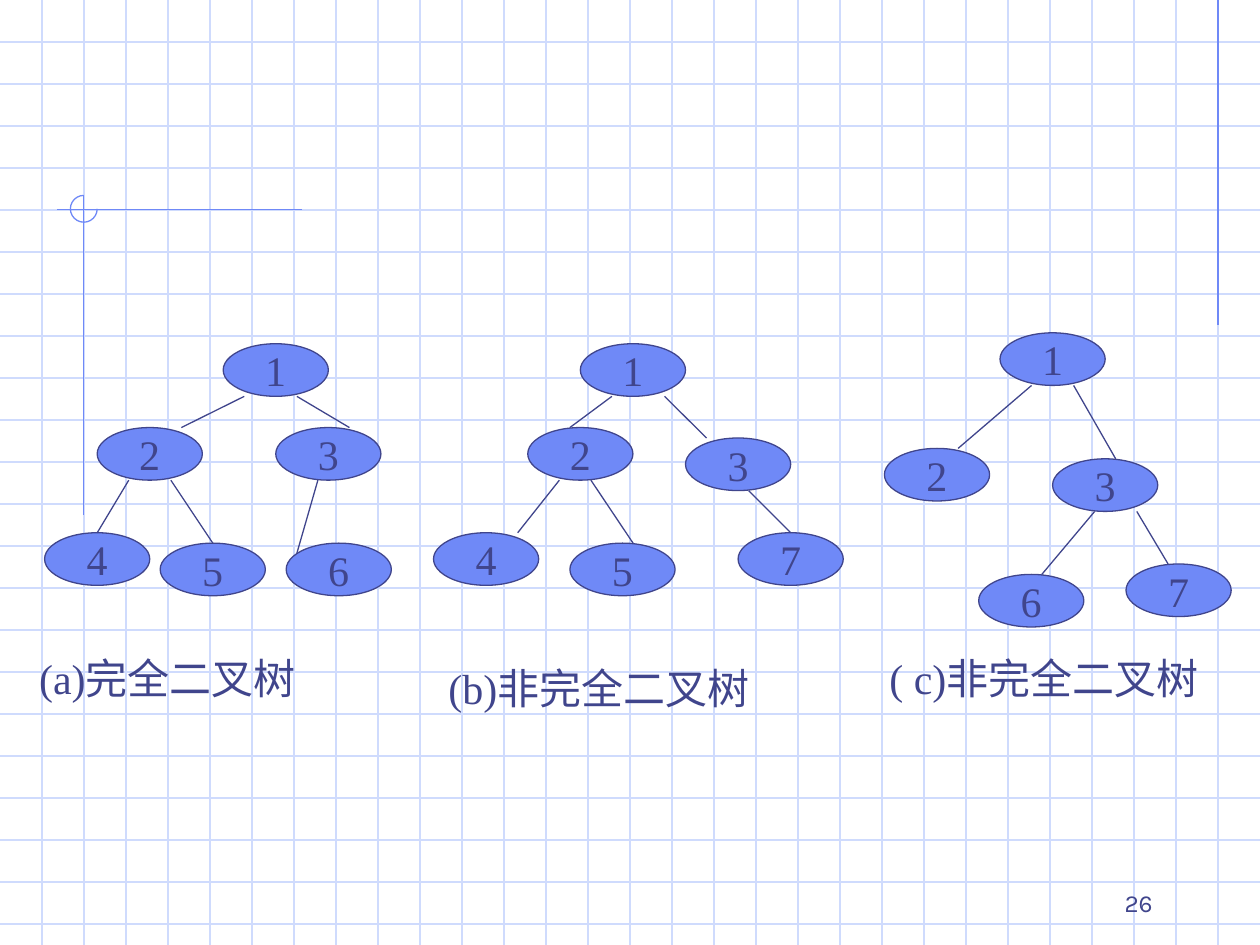
from lxml.etree import SubElement
from pptx import Presentation
from pptx.dml.color import RGBColor
from pptx.enum.shapes import MSO_CONNECTOR, MSO_SHAPE
from pptx.enum.text import MSO_ANCHOR, MSO_AUTO_SIZE, PP_ALIGN
from pptx.oxml.ns import qn
from pptx.util import Cm, Pt

COLORS = {"grid": "CFDBFD", "accent": "6F89F7", "ink": "40458C", "paper": "FFFFFF"}
SLIDE_WIDTH, SLIDE_HEIGHT = 25.4, 19.05
GRID_STEP = SLIDE_WIDTH / 30
NODE_WIDTH, NODE_HEIGHT = 2.12, 1.06
NODE_FRAME = {"word_wrap": False, "vertical_anchor": MSO_ANCHOR.MIDDLE}
CAPTION_FRAME = {"word_wrap": False, "auto_size": MSO_AUTO_SIZE.SHAPE_TO_FIT_TEXT}
NUMBER_FRAME = {"word_wrap": True, "vertical_anchor": MSO_ANCHOR.BOTTOM}
TREE_FONT = {"name": "Times New Roman", "size": Pt(24)}
NUMBER_FONT = {"name": "Karla", "size": Pt(14)}

# box: left, top; edges: parent, child, start and end as shares of node width, end depth
TREES = [
    {
        "box": (0.9, 6.93),
        "nodes": {"1": (3.6, 0), "2": (1.06, 1.69), "3": (4.66, 1.69),
                  "4": (0, 3.81), "5": (2.33, 4.02), "6": (4.87, 4.02)},
        "edges": [("1", "2", 0.2, 0.8, 0), ("1", "3", 0.7, 0.7, 0),
                  ("2", "4", 0.3, 0.5, 0), ("2", "5", 0.7, 0.5, 0),
                  ("3", "6", 0.4, 0.1, 0.2)],
        "caption": ("(a)完全二叉树", -0.36, 6.1, 5.87),
    },
    {
        "box": (8.74, 6.93),
        "nodes": {"1": (2.96, 0), "2": (1.9, 1.69), "3": (5.08, 1.9),
                  "4": (0, 3.81), "5": (2.75, 4.02), "7": (6.14, 3.81)},
        "edges": [("1", "2", 0.3, 0.4, 0), ("1", "3", 0.8, 0.2, 0),
                  ("2", "4", 0.3, 0.8, 0), ("2", "5", 0.6, 0.6, 0),
                  ("3", "7", 0.6, 0.5, 0)],
        "caption": ("(b)非完全二叉树", 0.05, 6.3, 6.78),
    },
    {
        "box": (17.83, 6.71),
        "nodes": {"1": (2.33, 0), "2": (0, 2.33), "3": (3.39, 2.54),
                  "6": (1.9, 4.87), "7": (4.87, 4.66)},
        "edges": [("1", "2", 0.3, 0.7, 0), ("1", "3", 0.7, 0.6, 0),
                  ("3", "6", 0.4, 0.6, 0), ("3", "7", 0.8, 0.4, 0)],
        "caption": ("( c)非完全二叉树", -0.15, 6.32, 6.93),
    },
]


def color(name):
    return RGBColor.from_string(COLORS[name])


def apply_format(target, values):
    for name, value in values.items():
        setattr(target, name, value)


def style_line(line, color_name):
    line.color.rgb = color(color_name)
    line.width = Pt(0.75)


def add_line(slide, start, end, color_name):
    connector = slide.shapes.add_connector(
        MSO_CONNECTOR.STRAIGHT, *[Cm(value) for value in (*start, *end)])
    style_line(connector.line, color_name)
    SubElement(connector._element.spPr, qn("a:effectLst"))


def write_text(shape, text, frame_format, font_format, alignment):
    frame = shape.text_frame
    apply_format(frame, frame_format)
    paragraph = frame.paragraphs[0]
    paragraph.alignment = alignment
    run = paragraph.add_run()
    run.text = text
    apply_format(run.font, font_format)
    run.font.color.rgb = color("ink")


def add_label(slide, box, text, frame_format, font_format, alignment):
    label = slide.shapes.add_textbox(*[Cm(value) for value in box])
    write_text(label, text, frame_format, font_format, alignment)


def add_oval(slide, kind, box):
    shape = slide.shapes.add_shape(kind, *[Cm(value) for value in box])
    shape.shadow.inherit = False
    return shape


def draw_grid(slide, left, top, width, height):
    for row in range(1, 23):
        y = top + row * GRID_STEP
        add_line(slide, (left, y), (left + width, y), "grid")
    for column in range(1, 30):
        x = left + column * GRID_STEP
        add_line(slide, (x, top), (x, top + height), "grid")


def draw_corner_mark(slide, left, top):
    add_line(slide, (left + 4.95, top + 0.28), (left, top + 0.28), "accent")
    add_line(slide, (left + 0.55, top), (left + 0.55, top + 6.45), "accent")
    arc = add_oval(slide, MSO_SHAPE.ARC, (left + 0.28, top, 0.54, 0.54))
    arc.adjustments[0] = 0
    arc.adjustments[1] = 162
    arc.fill.background()
    style_line(arc.line, "accent")


def draw_tree(slide, box, nodes, edges, caption):
    left, top = box
    for text, (x, y) in nodes.items():
        node = add_oval(slide, MSO_SHAPE.OVAL,
                        (left + x, top + y, NODE_WIDTH, NODE_HEIGHT))
        node.fill.solid()
        node.fill.fore_color.rgb = color("accent")
        style_line(node.line, "ink")
        write_text(node, text, NODE_FRAME, TREE_FONT, PP_ALIGN.CENTER)
    for parent, child, start_share, end_share, end_depth in edges:
        parent_x, parent_y = nodes[parent]
        child_x, child_y = nodes[child]
        start = (left + parent_x + start_share * NODE_WIDTH,
                 top + parent_y + NODE_HEIGHT)
        end = (left + child_x + end_share * NODE_WIDTH,
               top + child_y + end_depth * NODE_HEIGHT)
        add_line(slide, start, end, "ink")
    text, x, y, width = caption
    add_label(slide, (left + x, top + y, width, 1.27), text,
              CAPTION_FRAME, TREE_FONT, PP_ALIGN.LEFT)


def main():
    presentation = Presentation()
    presentation.slide_width = Cm(SLIDE_WIDTH)
    presentation.slide_height = Cm(SLIDE_HEIGHT)
    slide = presentation.slides.add_slide(presentation.slide_layouts[6])
    slide.background.fill.solid()
    slide.background.fill.fore_color.rgb = color("paper")
    draw_grid(slide, 0, 0, SLIDE_WIDTH, SLIDE_HEIGHT)
    margin_x = 29 * GRID_STEP
    add_line(slide, (margin_x, 0), (margin_x, 6.55), "accent")
    draw_corner_mark(slide, 1.14, 3.94)
    for tree in TREES:
        draw_tree(slide, **tree)
    add_label(slide, (18.21, 17.35, 5.28, 1.27), "26",
              NUMBER_FRAME, NUMBER_FONT, PP_ALIGN.RIGHT)
    presentation.save("out.pptx")


if __name__ == "__main__":
    main()
